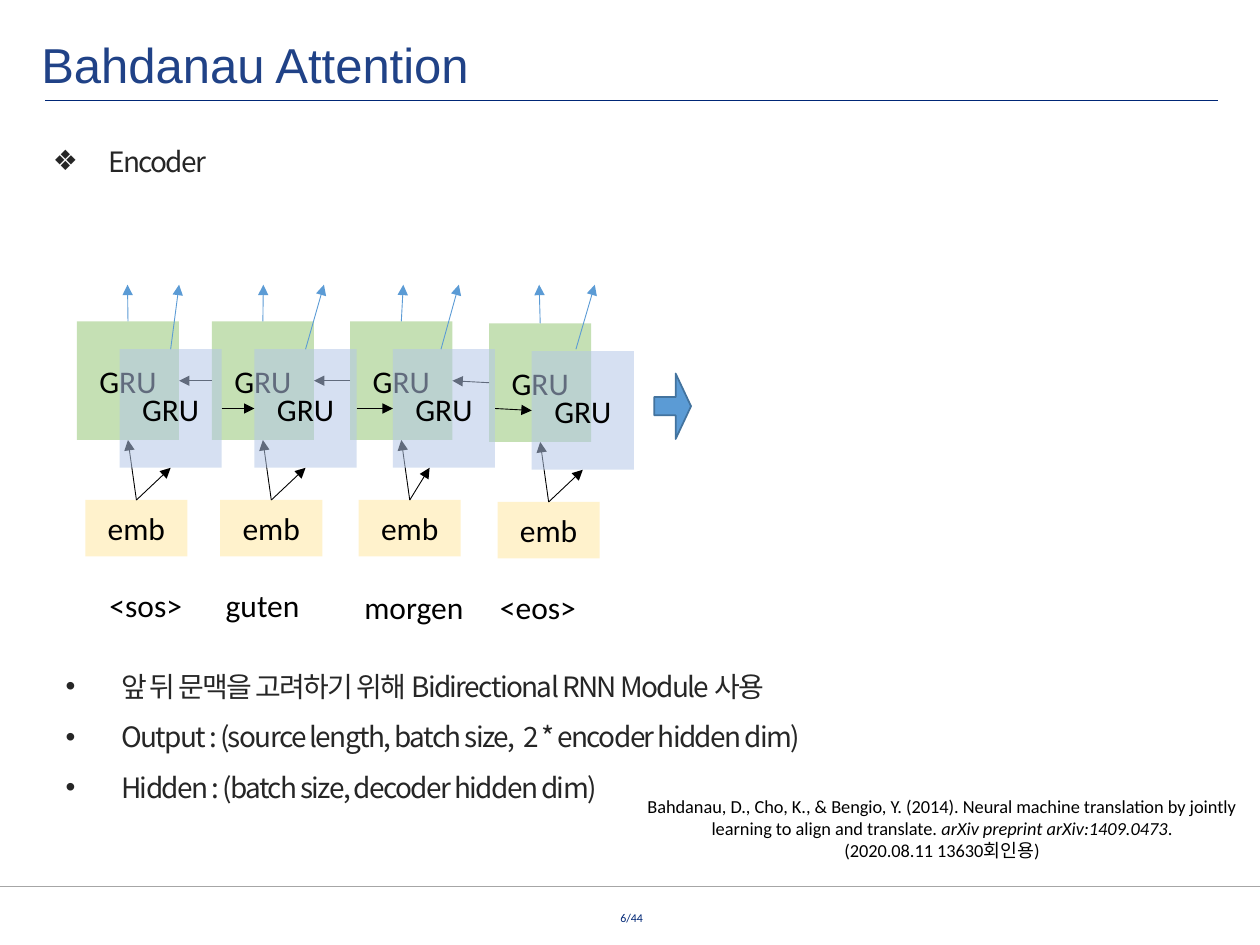
from lxml.etree import SubElement
from pptx import Presentation
from pptx.dml.color import RGBColor
from pptx.enum.shapes import MSO_CONNECTOR as Connector, MSO_SHAPE as Shape
from pptx.enum.text import MSO_ANCHOR as Anchor, MSO_AUTO_SIZE as Fit, PP_ALIGN as Align
from pptx.oxml.ns import qn
from pptx.util import Cm, Pt

BLACK = RGBColor(0x00, 0x00, 0x00)
NAVY = RGBColor(0x00, 0x27, 0x76)
TITLE_BLUE = RGBColor(0x20, 0x42, 0x87)
INK = RGBColor(0x26, 0x26, 0x26)
GREY = RGBColor(0xA6, 0xA6, 0xA6)
CREAM = RGBColor(0xFF, 0xF2, 0xCC)
GREEN = RGBColor(0xC5, 0xE0, 0xB4)
PALE_BLUE = RGBColor(0xB4, 0xC7, 0xE7)
BLUE = RGBColor(0x5B, 0x9B, 0xD5)
DARK_BLUE = RGBColor(0x43, 0x73, 0x9E)
TOP, LEFT, BOTTOM, RIGHT = range(4)


class SlideBuilder:
    """Hold the text styles and the current slide, and add each kind of element."""

    STYLES = {
        "title": {"name": "Arial", "size": Pt(28), "color": TITLE_BLUE},
        "list": {"name": "Noto Sans CJK KR", "size": Pt(16), "color": INK},
        "label": {"name": "Calibri", "size": Pt(18), "color": BLACK},
        "citation": {"name": "Calibri", "size": Pt(10.5), "color": BLACK},
        "page": {"name": "Calibri", "size": Pt(6.8), "color": NAVY},
    }

    def __init__(self, page):
        self.page = page
        self.shapes = page.shapes

    def span(self, para, text, style, **extra):
        span = para.add_run()
        span.text = text
        for name, value in {**self.STYLES[style], **extra}.items():
            if name == "color":
                span.font.color.rgb = value
            else:
                setattr(span.font, name, value)
        return span

    def place(self, shape, area):
        for name, value in zip(("left", "top", "width", "height"), area):
            setattr(shape, name, Cm(value))

    def frame(self, shape, **extra):
        values = {"word_wrap": True, "auto_size": Fit.SHAPE_TO_FIT_TEXT,
                  "vertical_anchor": Anchor.TOP, **extra}
        for name, value in values.items():
            setattr(shape.text_frame, name, value)
        return shape.text_frame

    def title(self, text, area):
        title = self.shapes.title
        self.place(title, area)
        para = self.frame(title).paragraphs[0]
        para.alignment = Align.LEFT
        self.span(para, text, "title")

    def bullets(self, index, lines, area, mark, margin, level):
        body = self.page.placeholders[index]
        self.place(body, area)
        frame = self.frame(body)
        for number, line in enumerate(lines):
            para = frame.add_paragraph() if number else frame.paragraphs[0]
            for name, value in {"level": level, "line_spacing": 1.5, "space_before": Pt(0)}.items():
                setattr(para, name, value)
            props = para._p.get_or_add_pPr()
            props.set("marL", str(Cm(margin)))
            props.set("indent", str(Cm(-1.12)))
            SubElement(props, qn("a:buChar"), char=mark)
            letters = self.span(para, line, "list")._r.get_or_add_rPr()
            letters.set("spc", "-90")
            SubElement(letters, qn("a:ea"), typeface=self.STYLES["list"]["name"])

    def text(self, paragraphs, style, area, spacing=None, **extra):
        box = self.shapes.add_textbox(*map(Cm, area))
        frame = self.frame(box, **extra)
        for number, spans in enumerate(paragraphs):
            para = frame.add_paragraph() if number else frame.paragraphs[0]
            para.alignment = Align.CENTER
            para.line_spacing = spacing
            for text, italic in spans:
                self.span(para, text, style, italic=italic)

    def block(self, text, area, color, opacity=None):
        block = self.shapes.add_shape(Shape.RECTANGLE, *map(Cm, area))
        block.shadow.inherit = False
        block.fill.solid()
        block.fill.fore_color.rgb = color
        block.line.fill.background()
        if opacity:
            tone = block._element.spPr.find(qn("a:solidFill"))[0]
            SubElement(tone, qn("a:alpha"), val=str(opacity * 1000))
        para = self.frame(block, auto_size=Fit.NONE, vertical_anchor=Anchor.MIDDLE).paragraphs[0]
        para.alignment = Align.CENTER
        self.span(para, text, "label")
        return block

    def block_arrow(self, area):
        arrow = self.shapes.add_shape(Shape.UP_ARROW, *map(Cm, area))
        arrow.shadow.inherit = False
        arrow.rotation = 90
        arrow.adjustments[0], arrow.adjustments[1] = 0.28, 0.42
        arrow.fill.solid()
        arrow.fill.fore_color.rgb = BLUE
        arrow.line.color.rgb = DARK_BLUE
        arrow.line.width = Pt(1)

    def line(self, start, end, color, width=0.5):
        ends = [(0, 0) if hasattr(point[0], "shape_id") else point for point in (start, end)]
        line = self.shapes.add_connector(
            Connector.STRAIGHT, *(Cm(value) for point in ends for value in point))
        for point, join in ((start, line.begin_connect), (end, line.end_connect)):
            if hasattr(point[0], "shape_id"):
                join(*point)
        line.line.color.rgb = color
        line.line.width = Pt(width)
        SubElement(line._element.spPr, qn("a:effectLst"))
        return line

    def arrow(self, start, end, color=BLACK):
        line = self.line(start, end, color)
        SubElement(line.line._get_or_add_ln(), qn("a:tailEnd"), type="triangle")


def draw_encoder(builder):
    """Draw the bidirectional encoder, one column for each word."""
    columns = list(zip((1.55, 4.27, 7.06, 9.86), (0, 0, 0, 0.04)))
    embeddings = [builder.block("emb", (x + 0.17, 10.08 + drop, 2.06, 1.14), CREAM)
                  for x, drop in columns]
    words = (("<sos>", 1.91, 11.68, 2.06), ("guten", 4.01, 11.68, 2.57),
             ("morgen", 7.06, 11.73, 2.57), ("<eos>", 9.78, 11.73, 2.13))
    for word, left, top, width in words:
        builder.text([[(word, False)]], "label", (left, top, width, 1.02))

    backward = [builder.block("GRU", (x, 6.48 + drop, 2.06, 2.39), GREEN) for x, drop in columns]
    for embedding, cell in zip(embeddings, backward):
        builder.arrow((embedding, TOP), (cell, BOTTOM))
    for before, after in zip(backward, backward[1:]):
        builder.arrow((after, LEFT), (before, RIGHT))

    forward = [builder.block("GRU", (x + 0.86, 7.04 + drop, 2.06, 2.39), PALE_BLUE, 54)
               for x, drop in columns]
    for before, after in zip(forward, forward[1:]):
        builder.arrow((before, RIGHT), (after, LEFT))
    inputs = [(cell, BOTTOM) for cell in forward]
    inputs[2] = (8.66, 9.43)
    for embedding, end in zip(embeddings, inputs):
        builder.arrow((embedding, TOP), end)

    outputs = [(cell, TOP) for cell in backward + forward]
    outputs[6:] = [(8.89, 7.04), (11.61, 7.04)]
    tips = (2.57, 5.31, 8.13, 10.87, 3.61, 6.53, 9.25, 11.99)
    for start, tip in zip(outputs, tips):
        builder.arrow(start, (tip, 5.74), BLUE)
    builder.block_arrow((12.9, 7.82, 1.32, 0.74))


def main():
    """Build the slide and save it."""
    deck = Presentation()
    deck.slide_width, deck.slide_height = Cm(25.4), Cm(19.05)
    builder = SlideBuilder(deck.slides.add_slide(deck.slide_layouts[3]))
    margins = dict.fromkeys(("margin_left", "margin_top", "margin_right", "margin_bottom"), 0)
    builder.text([[("6/44", False)]], "page", (9.65, 18.47, 6.17, 0.53), Pt(5.1),
                 auto_size=Fit.NONE, **margins)
    builder.line((0.91, 2.03), (24.56, 2.03), NAVY, 0.75)
    builder.line((0, 17.86), (25.4, 17.86), GREY, 0.25)
    builder.title("Bahdanau Attention", (0.58, 0.56, 20.98, 1.45))
    builder.bullets(2, ["앞 뒤 문맥을 고려하기 위해 Bidirectional RNN Module 사용",
                        "Output : (source length, batch size,  2 * encoder hidden dim)",
                        "Hidden : (batch size, decoder hidden dim)"],
                    (-0.2, 13.03, 17.73, 3.33), "•", 2.39, 1)
    builder.bullets(1, ["Encoder"], (0.81, 2.44, 23.83, 1.14), "❖", 1.12, 0)
    builder.text([[("Bahdanau, D., Cho, K., & Bengio, Y. (2014). Neural machine translation by jointly "
                    "learning to align and translate. ", False),
                   ("arXiv preprint arXiv:1409.0473", True), (".", False)],
                  [("(2020.08.11 13630회인용)", False)]],
                 "citation", (12.5, 15.9, 12.98, 1.6))
    draw_encoder(builder)
    deck.save("out.pptx")


if __name__ == "__main__":
    main()
